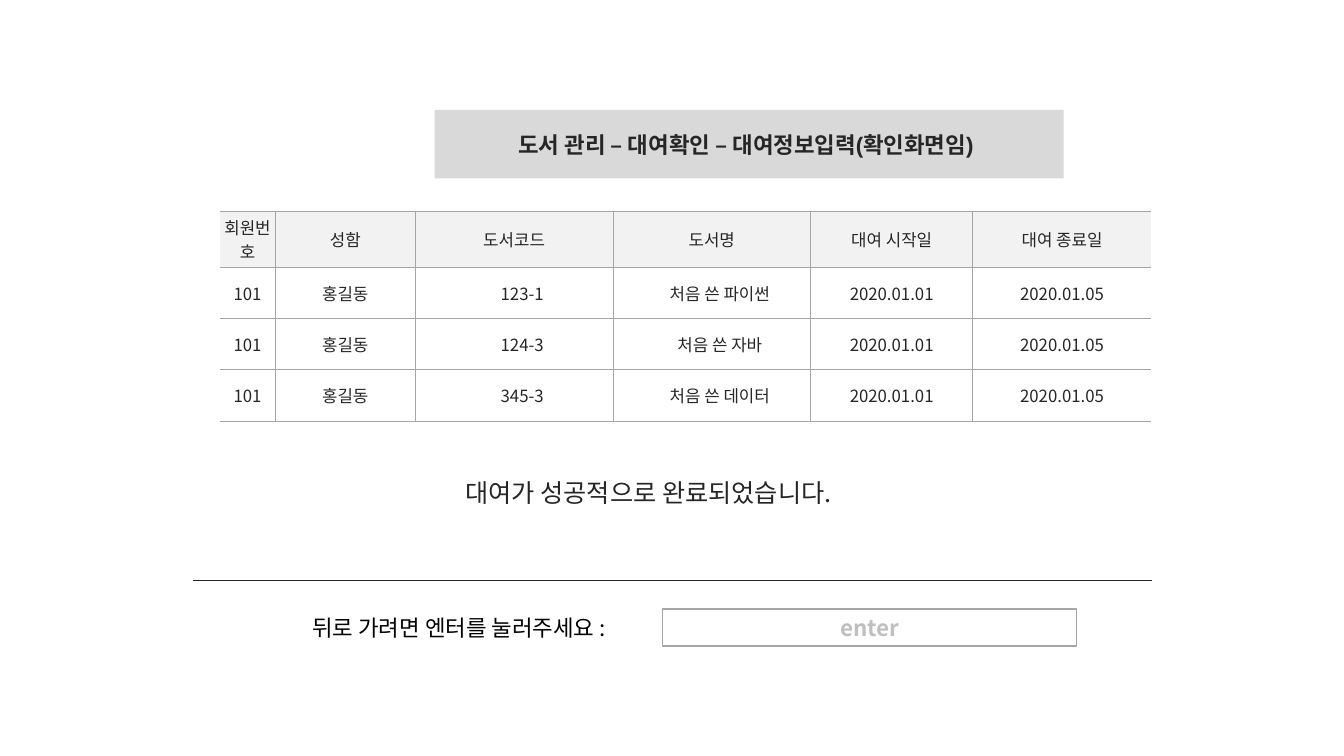
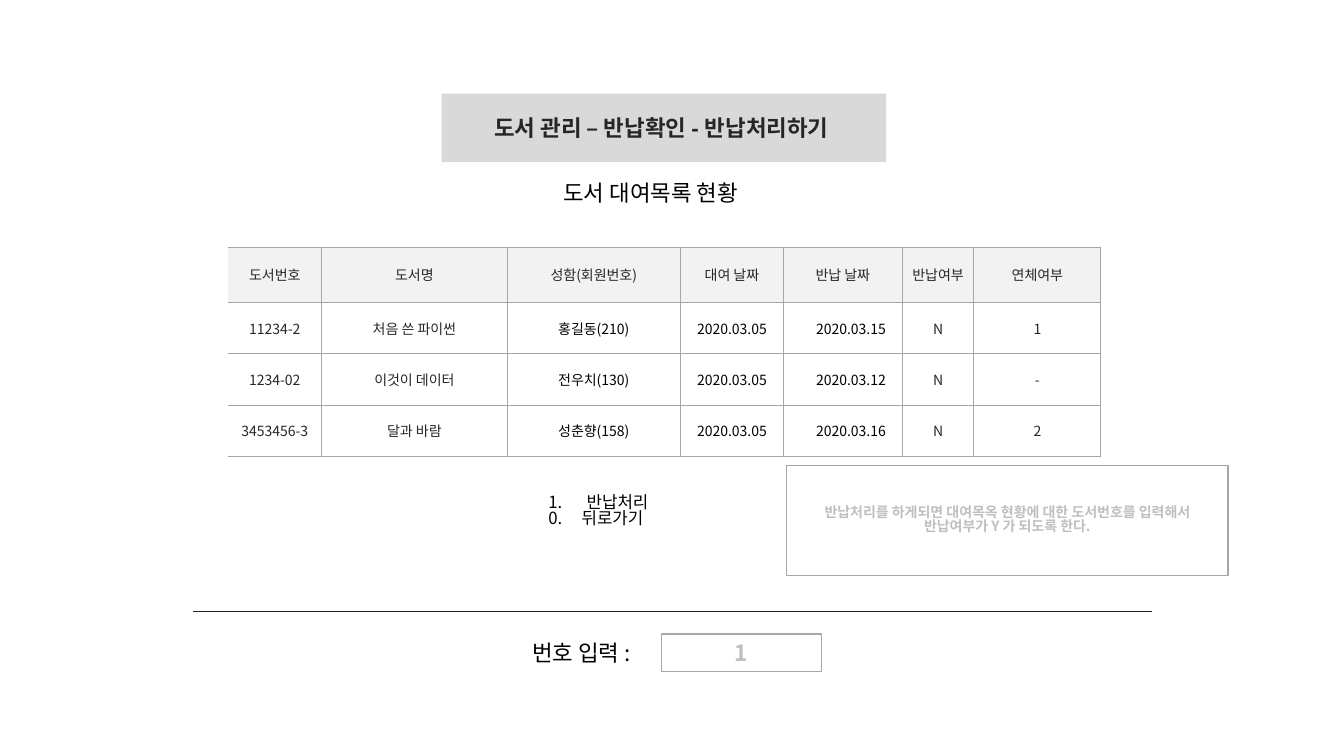
from dataclasses import dataclass

from lxml import etree
from pptx import Presentation
from pptx.dml.color import RGBColor
from pptx.enum.shapes import MSO_CONNECTOR, MSO_SHAPE
from pptx.enum.text import MSO_ANCHOR, MSO_AUTO_SIZE, PP_ALIGN
from pptx.oxml.ns import qn
from pptx.util import Pt

RECT = MSO_SHAPE.RECTANGLE
STRAIGHT = MSO_CONNECTOR.STRAIGHT
MIDDLE = MSO_ANCHOR.MIDDLE
FIXED = MSO_AUTO_SIZE.NONE
LEFT, CENTER = PP_ALIGN.LEFT, PP_ALIGN.CENTER
SCALE = 9144


@dataclass(frozen=True)
class Theme:
    sans: str = "Noto Sans CJK KR"
    head: str = "Arial"
    black: str = "000000"
    ink: str = "262626"
    hint: str = "BFBFBF"
    edge: str = "A6A6A6"
    band: str = "D9D9D9"
    top: str = "F2F2F2"
    white: str = "FFFFFF"
    note: int = 10
    body: int = 12
    title: int = 16
    done: int = 18
    tight: float = 0.83


THEME = Theme()


def px(n):
    return round(n * SCALE)


def rgb(code):
    return RGBColor.from_string(code)


def paint(shape, color):
    shape.fill.solid()
    shape.fill.fore_color.rgb = rgb(color)


def style(frame, size, color, align=LEFT, bold=False, font=THEME.sans):
    for para in frame.paragraphs:
        para.alignment = align
        for run in para.runs:
            run.font.size = Pt(size)
            run.font.bold = bold
            run.font.name = font
            run.font.color.rgb = rgb(color)
            props = run._r.get_or_add_rPr()
            etree.SubElement(props, qn("a:ea")).set("typeface", THEME.sans)


def settle(frame):
    frame.word_wrap = True
    frame.auto_size = FIXED
    frame.vertical_anchor = MIDDLE


def add_title(slide, box, text):
    title = slide.shapes.title
    title.left, title.top, title.width, title.height = map(px, box)
    paint(title, THEME.band)
    frame = title.text_frame
    frame.text = text
    settle(frame)
    style(frame, THEME.title, THEME.ink, CENTER, True, THEME.head)


def add_text(slide, box, text, size, color, align=LEFT):
    frame = slide.shapes.add_textbox(*map(px, box)).text_frame
    frame.text = text
    settle(frame)
    style(frame, size, color, align)
    return frame


def add_field(slide, box, text, size):
    field = slide.shapes.add_shape(RECT, *map(px, box))
    field.shadow.inherit = False
    paint(field, THEME.white)
    field.line.color.rgb = rgb(THEME.edge)
    field.line.width = Pt(1)
    frame = field.text_frame
    frame.text = text
    settle(frame)
    style(frame, size, THEME.hint, CENTER, True)
    return frame


def add_edge(cell, side, shown):
    props = cell._tc.get_or_add_tcPr()
    line = etree.SubElement(props, qn(f"a:ln{side}"), w=str(Pt(0.75)))
    if shown:
        fill = etree.SubElement(line, qn("a:solidFill"))
        etree.SubElement(fill, qn("a:srgbClr"), val=THEME.edge)
    else:
        etree.SubElement(line, qn("a:noFill"))


def add_grid(slide, left, top, cols, rows, size, shift, dark=(), closed=False):
    highs = [55] + [51] * (len(rows) - 1)
    box = left, top, sum(cols), sum(highs)
    grid = slide.shapes.add_table(len(rows), len(cols), *map(px, box)).table
    grid.first_row = grid.horz_banding = False
    for col, wide in zip(grid.columns, cols):
        col.width = px(wide)
    for row, high in zip(grid.rows, highs):
        row.height = px(high)
    for r, row in enumerate(rows):
        for c, text in enumerate(row):
            cell = grid.cell(r, c)
            cell.margin_left = px(16 if r and c in shift else 0)
            cell.margin_right = cell.margin_top = cell.margin_bottom = 0
            cell.vertical_anchor = MIDDLE
            add_edge(cell, "L", c > 0)
            add_edge(cell, "R", closed or c < len(cols) - 1)
            add_edge(cell, "T", True)
            add_edge(cell, "B", True)
            paint(cell, THEME.white if r else THEME.top)
            cell.text_frame.text = text
            color = THEME.black if r and c in dark else THEME.ink
            style(cell.text_frame, size, color, CENTER)


def add_prompt(slide, top, left, split, wide, label, value):
    rule = slide.shapes.add_connector(STRAIGHT, px(191), px(top), px(1143), px(top))
    rule.line.color.rgb = rgb(THEME.ink)
    rule.line.width = Pt(0.5)
    etree.SubElement(rule._element.spPr, qn("a:effectLst"))
    high = 37
    base = top + (28 if top < 600 else 22)
    add_text(slide, (left, base, split - left, high), label, THEME.title, THEME.black)
    add_field(slide, (split, base, wide, high), value, THEME.title)


def add_menu(slide, box):
    frame = add_text(slide, box, "반납처리\n0.\t뒤로가기", THEME.body, THEME.black)
    first, last = frame.paragraphs
    for para in frame.paragraphs:
        para.line_spacing = THEME.tight
    props = first._p.get_or_add_pPr()
    props.set("marL", str(px(38)))
    props.set("indent", str(px(-38)))
    etree.SubElement(props, qn("a:buFont"), typeface=THEME.sans)
    etree.SubElement(props, qn("a:buAutoNum"), type="arabicPeriod")
    tabs = etree.SubElement(last._p.get_or_add_pPr(), qn("a:tabLst"))
    etree.SubElement(tabs, qn("a:tab"), pos=str(px(33)), algn="l")


def build_loan(slide):
    add_title(slide, (431, 109, 624, 68), "도서 관리 – 대여확인 – 대여정보입력(확인화면임) ")
    loans = [("123-1", "처음 쓴 파이썬"), ("124-3", "처음 쓴 자바"), ("345-3", "처음 쓴 데이터")]
    rows = [("회원번호", "성함", "도서코드", "도서명", "대여 시작일", "대여 종료일")]
    rows += [("101", "홍길동", *loan, "2020.01.01", "2020.01.05") for loan in loans]
    add_grid(slide, 218, 210, (55, 139, 196, 196, 161, 177), rows, THEME.body, (2, 3))
    add_text(slide, (432, 469, 422, 40), "대여가 성공적으로 완료되었습니다.",
             THEME.done, THEME.ink, CENTER)
    add_prompt(slide, 576, 300, 657, 411, "뒤로 가려면 엔터를 눌러주세요 :", "enter")


def build_return(slide):
    add_title(slide, (438, 93, 441, 68), "도서 관리 – 반납확인 - 반납처리하기 ")
    add_text(slide, (549, 173, 223, 37), "도서 대여목록 현황", THEME.title, THEME.black)
    day = "2020.03.05"
    rows = [
        ("도서번호", "도서명", "성함(회원번호)", "대여 날짜", "반납 날짜", "반납여부", "연체여부"),
        ("11234-2", "처음 쓴 파이썬", "홍길동(210)", day, "2020.03.15", "N", "1"),
        ("1234-02", "이것이 데이터", "전우치(130)", day, "2020.03.12", "N", "-"),
        ("3453456-3", "달과 바람", "성춘향(158)", day, "2020.03.16", "N", "2"),
    ]
    add_grid(slide, 226, 245, (93, 184, 172, 102, 118, 71, 126), rows,
             THEME.note, (4,), (2, 3, 4), True)
    add_menu(slide, (534, 482, 125, 51))
    note = add_field(slide, (780, 462, 438, 109),
                     "반납처리를 하게되면 대여목옥 현황에 대한 도서번호를 입력해서\n"
                     "반납여부가 Y 가 되도록 한다.", THEME.note)
    for para in note.paragraphs:
        para.line_spacing = THEME.tight
    add_prompt(slide, 607, 518, 656, 159, "번호 입력 :", "1")


def main():
    deck = Presentation()
    deck.slide_width, deck.slide_height = px(1333), px(750)
    for build in (build_loan, build_return):
        build(deck.slides.add_slide(deck.slide_layouts[5]))
    deck.save("out.pptx")


if __name__ == "__main__":
    main()
